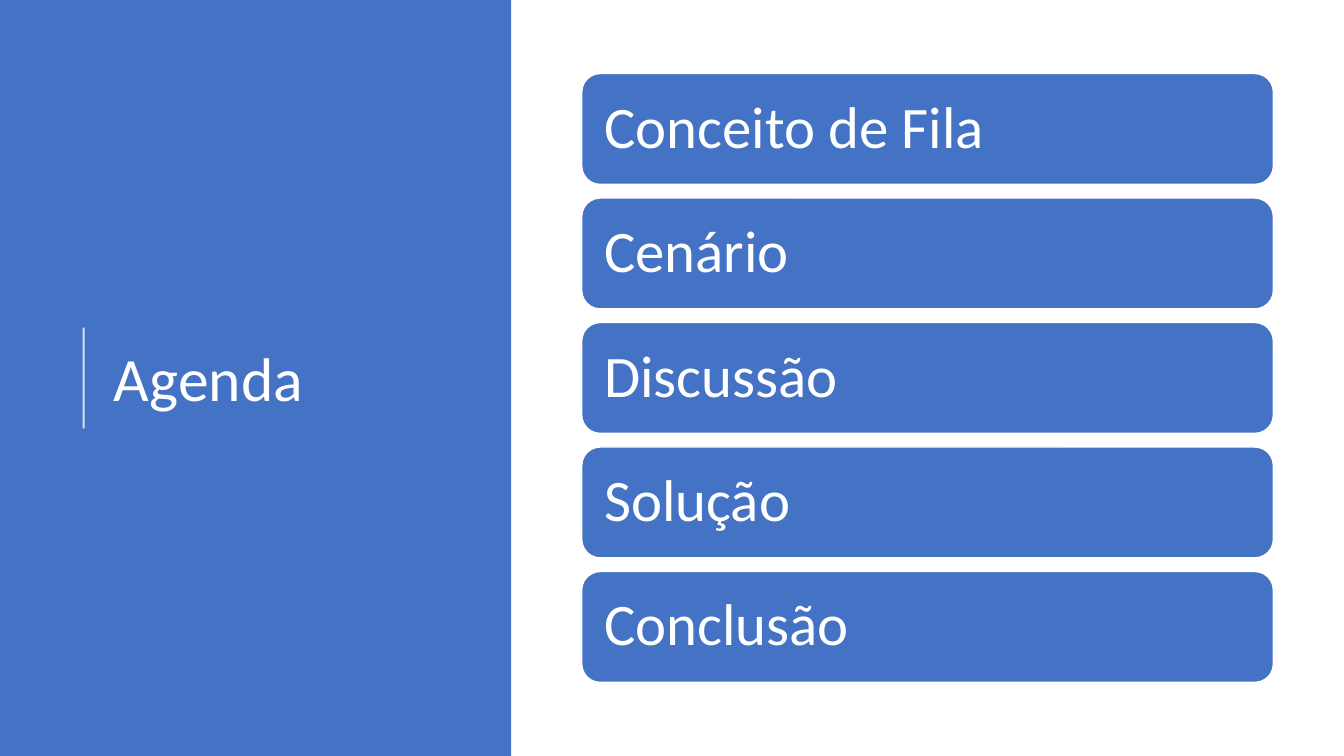
from lxml.etree import SubElement as Sub
from pptx import Presentation
from pptx.dml.color import RGBColor as RGB
from pptx.enum.shapes import MSO_CONNECTOR as Link, MSO_SHAPE as Kind
from pptx.enum.text import MSO_ANCHOR as Anchor, MSO_AUTO_SIZE as Fit, PP_ALIGN as Align
from pptx.oxml.ns import qn
from pptx.util import Inches, Pt

TOPICS = ["Conceito de Fila", "Cenário", "Discussão", "Solução", "Conclusão"]


class Deck:
    font = "Calibri"
    colors = {"blue": "4472C4", "white": "FFFFFF"}

    def __init__(self, wide, high):
        self.prs = Presentation()
        self.prs.slide_width, self.prs.slide_height = Inches(wide), Inches(high)
        self.slide = self.prs.slides.add_slide(self.prs.slide_layouts[5])
        self.shapes = self.slide.shapes

    def color(self, name):
        return RGB.from_string(self.colors[name])

    def label(self, frame, text, size):
        frame.word_wrap = True
        frame.auto_size = Fit.NONE
        frame.vertical_anchor = Anchor.MIDDLE
        frame.text = text
        para = frame.paragraphs[0]
        para.alignment = Align.LEFT
        para.line_spacing = 0.9
        para.font.name = self.font
        para.font.size = Pt(size)
        para.font.color.rgb = self.color("white")

    def title(self, text, box, size):
        head = self.shapes.title
        head.left, head.top, head.width, head.height = map(Inches, box)
        self.label(head.text_frame, text, size)

    def block(self, kind, box):
        shape = self.shapes.add_shape(kind, *map(Inches, box))
        shape.shadow.inherit = False
        shape.fill.solid()
        shape.fill.fore_color.rgb = self.color("blue")
        shape.line.fill.background()
        return shape

    def panel(self, box):
        # Index 2 is the back of the shape tree
        tree = self.shapes.element
        tree.insert(2, self.block(Kind.RECTANGLE, box).element)

    def bar(self, text, box, size):
        shape = self.block(Kind.ROUNDED_RECTANGLE, box)
        shape.line.color.rgb = self.color("white")
        shape.line.width = Pt(1)
        frame = shape.text_frame
        frame.margin_left = frame.margin_right = Inches(0.17)
        frame.margin_top = frame.margin_bottom = Inches(0.17)
        self.label(frame, text, size)

    def rule(self, ends, width, alpha):
        line = self.shapes.add_connector(Link.STRAIGHT, *map(Inches, ends))
        line.line.color.rgb = self.color("white")
        line.line.width = Pt(width)
        props = line.element.spPr
        tint = next(props.iter(qn("a:srgbClr")))
        Sub(tint, qn("a:alpha")).set("val", str(alpha * 1000))
        Sub(props, qn("a:effectLst"))


def main():
    deck = Deck(13.33, 7.5)

    # Left panel with title and accent line
    deck.panel((0, 0, 5.07, 7.5))
    deck.rule((0.83, 4.25, 0.83, 3.25), 1.5, 80)
    deck.title("Agenda", (1.03, 0.78, 3.69, 6.02), 44)

    # Agenda topics, evenly spaced between the first and last bar
    top, last = 0.73, 5.67
    step = (last - top) / (len(TOPICS) - 1)
    for i, topic in enumerate(TOPICS):
        deck.bar(topic, (5.77, top + i * step, 6.86, 1.1), 42)

    deck.prs.save("out.pptx")


if __name__ == "__main__":
    main()
